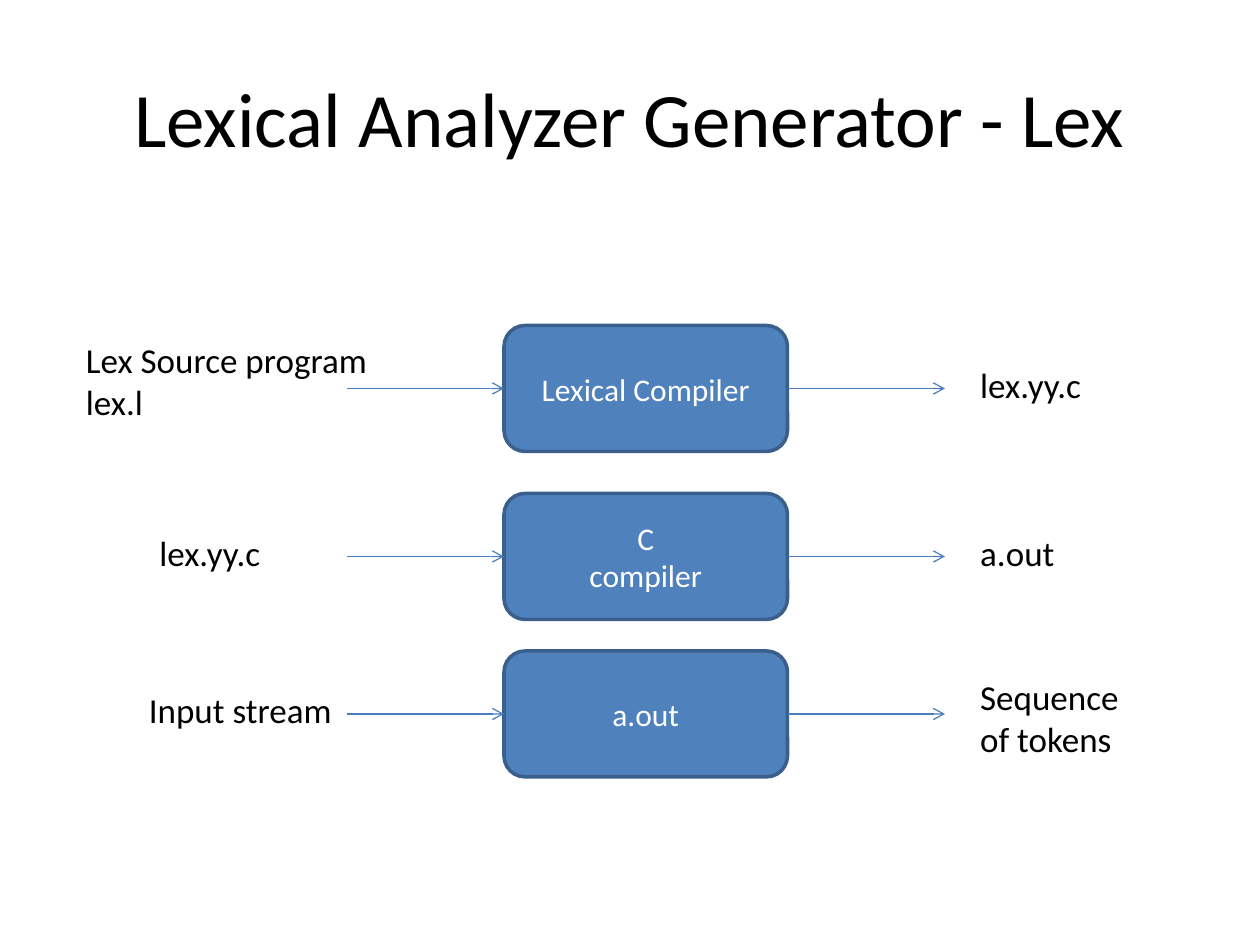
from pptx import Presentation
from pptx.dml.color import RGBColor as Rgb
from pptx.enum.shapes import MSO_CONNECTOR as Conn, MSO_SHAPE as Form
from pptx.enum.text import MSO_ANCHOR as Anchor, PP_ALIGN as Align
from pptx.oxml.ns import qn
from pptx.util import Pt
from lxml.etree import SubElement as Sub

TITLE = "Lexical Analyzer Generator - Lex"
ROWS = [
    (186, ("Lex Source program\nlex.l", 42, 4, 178.5, 55.5),
     "Lexical Compiler", ("lex.yy.c", 18, 31.5)),
    (282, ("lex.yy.c", 84, 18, 124.5, 31.5),
     "C\ncompiler", ("a.out", 18, 31.5)),
    (372, ("Input stream", 78, 18, 124.5, 31.5),
     "a.out", ("Sequence of tokens", 10.5, 55.5)),
]
BOX_X, BOX_W, BOX_H = 288, 162, 72
GAP = 90
OUT_X, OUT_W = 553, 101


def tint(code):
    return Rgb.from_string(code)


def write(frame, text, size, code, align, anchor):
    frame.word_wrap = True
    frame.vertical_anchor = anchor
    frame.text = text
    for para in frame.paragraphs:
        para.alignment = align
        para.font.name = "Calibri"
        para.font.size = Pt(size)
        para.font.color.rgb = tint(code)


def label(text, x, y, w, h):
    box = slide.shapes.add_textbox(Pt(x), Pt(y), Pt(w), Pt(h))
    write(box.text_frame, text, 20, "000000", Align.LEFT, Anchor.TOP)


def stage(text, y):
    box = slide.shapes.add_shape(
        Form.ROUNDED_RECTANGLE, Pt(BOX_X), Pt(y), Pt(BOX_W), Pt(BOX_H))
    box.shadow.inherit = False
    box.fill.solid()
    box.fill.fore_color.rgb = tint("4F81BD")
    box.line.color.rgb = tint("3A5F8C")
    box.line.width = Pt(2)
    write(box.text_frame, text, 18, "FFFFFF", Align.CENTER, Anchor.MIDDLE)


def arrow(x, y):
    line = slide.shapes.add_connector(
        Conn.STRAIGHT, Pt(x), Pt(y), Pt(x + GAP), Pt(y))
    line.line.color.rgb = tint("4B7EBC")
    line.line.width = Pt(0.75)
    Sub(line.line._get_or_add_ln(), qn("a:tailEnd"), type="arrow")
    Sub(line._element.spPr, qn("a:effectLst"))


deck = Presentation()
deck.slide_width, deck.slide_height = Pt(720), Pt(540)
slide = deck.slides.add_slide(deck.slide_layouts[5])

title = slide.shapes.title
title.left, title.top, title.width, title.height = map(Pt, (36, 21.6, 648, 90))
write(title.text_frame, TITLE, 44, "000000", Align.CENTER, Anchor.MIDDLE)

for top, (source, x, drop, w, h), name, (result, fall, high) in ROWS:
    stage(name, top)
    for start in (BOX_X - GAP, BOX_X + BOX_W):
        arrow(start, top + BOX_H / 2)
    label(source, x, top + drop, w, h)
    label(result, OUT_X, top + fall, OUT_W, high)

deck.save("out.pptx")
